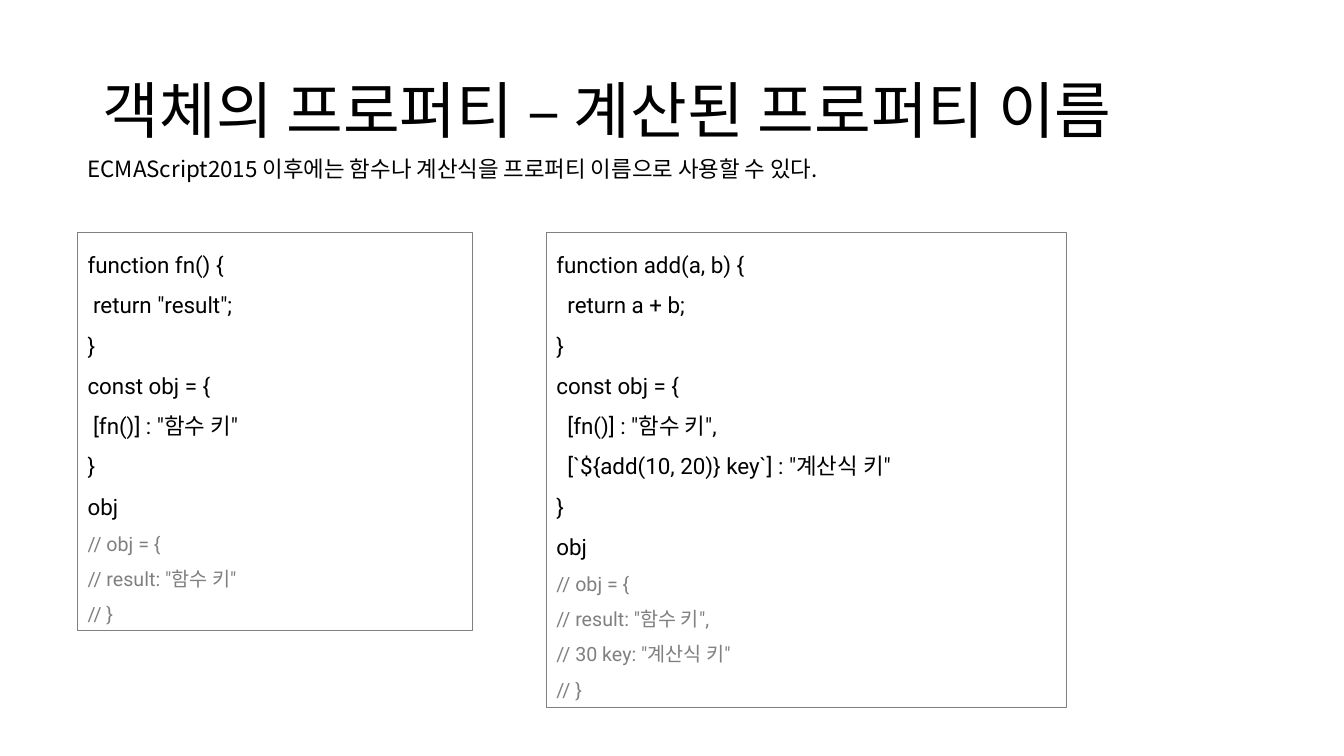
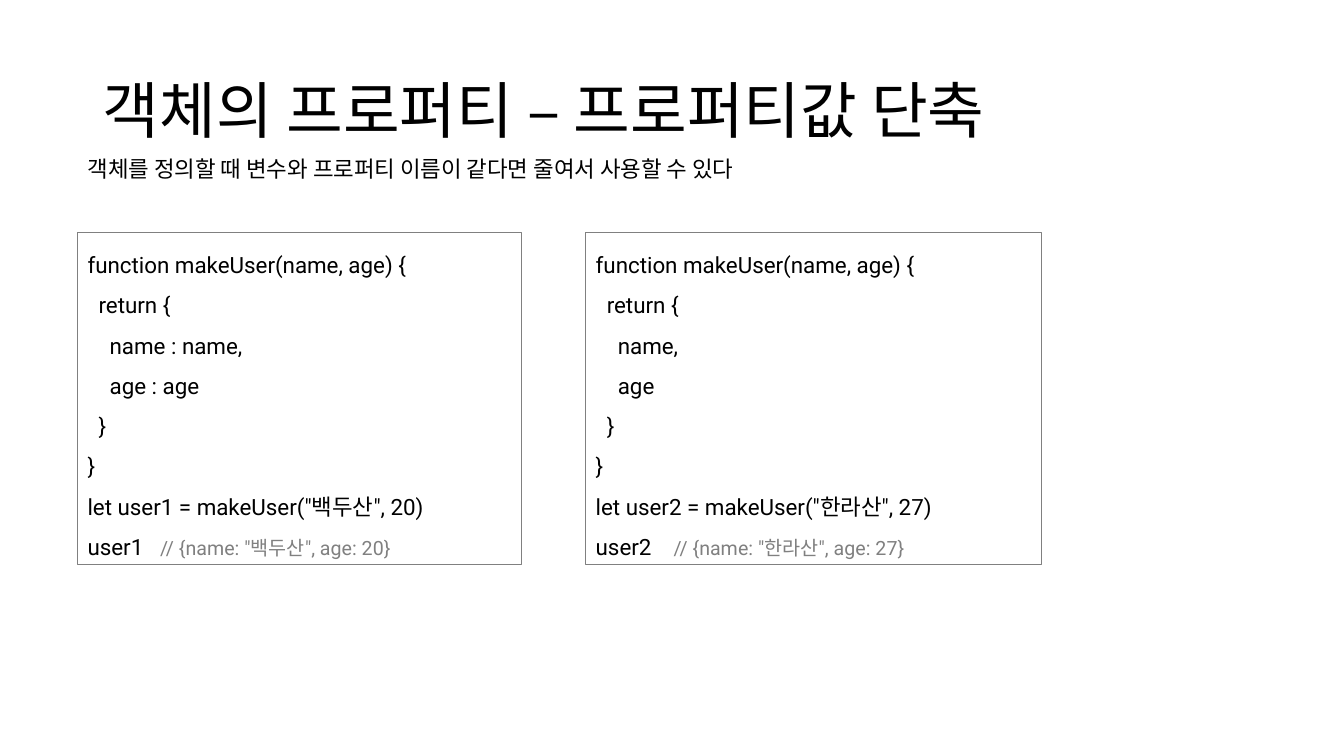
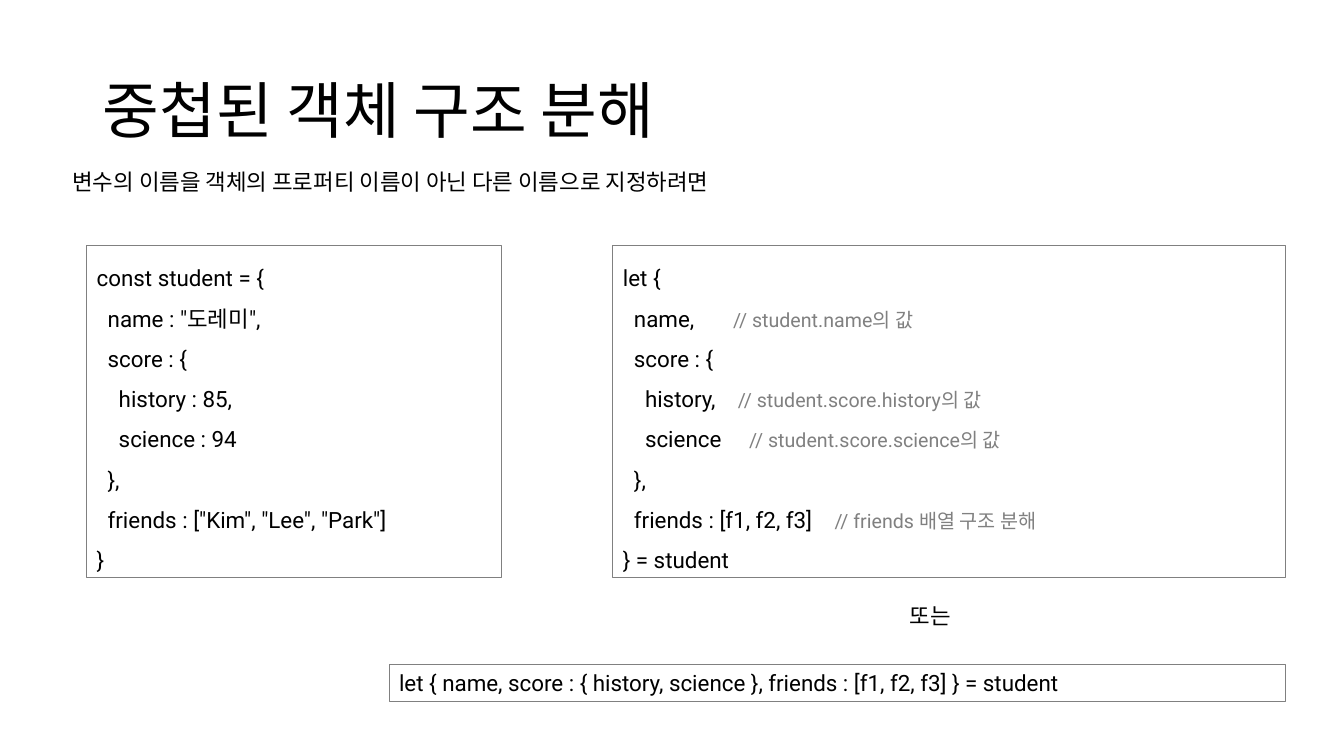
from lxml import etree
from pptx import Presentation
from pptx.dml.color import RGBColor
from pptx.enum.text import MSO_ANCHOR, MSO_AUTO_SIZE, PP_ALIGN
from pptx.oxml.ns import qn
from pptx.util import Pt

PX = 9144
BLANK = 6
TOP, MIDDLE = MSO_ANCHOR.TOP, MSO_ANCHOR.MIDDLE
LEFT, CENTER = PP_ALIGN.LEFT, PP_ALIGN.CENTER
GROW, FIXED = MSO_AUTO_SIZE.SHAPE_TO_FIT_TEXT, MSO_AUTO_SIZE.NONE
SANS, CODE = "Noto Sans CJK KR", "Roboto"
BLACK, GRAY = "000000", "808080"

FN_KEY = """function fn() {
 return "result";
}
const obj = {
 [fn()] : "함수 키"
}
obj
// obj = {
// result: "함수 키"
// }"""

SUM_KEY = """function add(a, b) {
  return a + b;
}
const obj = {
  [fn()] : "함수 키",
  [`${add(10, 20)} key`] : "계산식 키"
}
obj
// obj = {
// result: "함수 키",
// 30 key: "계산식 키"
// }"""

STUDENT = """const student = {
  name : "도레미",
  score : {
    history : 85,
    science : 94
  },
  friends : ["Kim", "Lee", "Park"]
}"""

UNPACK = """let {
  name,       // student.name의 값
  score : {
    history,    // student.score.history의 값
    science     // student.score.science의 값
  },
  friends : [f1, f2, f3]    // friends 배열 구조 분해
} = student"""

SHORT = "let { name, score : { history, science }, friends : [f1, f2, f3] } = student"


def color(code):
    return RGBColor.from_string(code)


def add_run(para, words, size, face, ink):
    run = para.add_run()
    run.text = words
    font = run.font
    font.size = Pt(size)
    font.name = face
    font.color.rgb = color(ink)
    etree.SubElement(run._r.get_or_add_rPr(), qn("a:ea"), typeface=SANS)


def add_text(slide, words, area, size=16, face=SANS, space=1.5, align=LEFT,
             anchor=TOP, fit=GROW, edge=None):
    box = slide.shapes.add_textbox(*(n * PX for n in area))
    frame = box.text_frame
    frame.word_wrap = True
    frame.auto_size = fit
    frame.vertical_anchor = anchor
    if edge:
        box.line.color.rgb = color(edge)
        box.line.width = Pt(0.75)
    for i, row in enumerate(words.split("\n")):
        para = frame.paragraphs[0] if i == 0 else frame.add_paragraph()
        para.line_spacing = space
        para.alignment = align
        main, mark, note = row.partition("//")
        if main:
            add_run(para, main, size, face, BLACK)
        if mark:
            add_run(para, mark + note, size - 2, face, GRAY)


def add_code(slide, words, area, space=1.5):
    add_text(slide, words, area, face=CODE, space=space, edge=GRAY)


def add_page(deck, title, lead, area=(77, 136, 858, 45)):
    slide = deck.slides.add_slide(deck.slide_layouts[BLANK])
    add_text(slide, title, (92, 40, 1150, 145), size=44, space=0.9,
             anchor=MIDDLE, fit=FIXED)
    add_text(slide, lead, area)
    return slide


def user_code(fields, user, name, age, gap):
    body = ",\n".join("    " + field for field in fields)
    return f"""function makeUser(name, age) {{
  return {{
{body}
  }}
}}
let {user} = makeUser("{name}", {age})
{user}{gap}// {{name: "{name}", age: {age}}}"""


def key_page(deck):
    slide = add_page(
        deck, "객체의 프로퍼티 – 계산된 프로퍼티 이름",
        "ECMAScript2015 이후에는 함수나 계산식을 프로퍼티 이름으로 사용할 수 있다.")
    add_code(slide, FN_KEY, (77, 231, 392, 395))
    add_code(slide, SUM_KEY, (542, 231, 516, 471))


def value_page(deck):
    slide = add_page(
        deck, "객체의 프로퍼티 – 프로퍼티값 단축",
        "객체를 정의할 때 변수와 프로퍼티 이름이 같다면 줄여서 사용할 수 있다")
    full = user_code(["name : name", "age : age"], "user1", "백두산", 20, "   ")
    brief = user_code(["name", "age"], "user2", "한라산", 27, "    ")
    add_code(slide, full, (77, 231, 440, 329))
    add_code(slide, brief, (581, 231, 452, 329))


def nested_page(deck):
    slide = add_page(
        deck, "중첩된 객체 구조 분해",
        "변수의 이름을 객체의 프로퍼티 이름이 아닌 다른 이름으로 지정하려면",
        area=(62, 149, 1212, 45))
    add_code(slide, STUDENT, (86, 244, 411, 329))
    add_code(slide, UNPACK, (608, 244, 667, 329))
    add_code(slide, SHORT, (386, 659, 889, 37), space=1.0)
    add_text(slide, "또는", (852, 592, 141, 37), space=1.0, align=CENTER)


def main():
    deck = Presentation()
    deck.slide_width = 1333 * PX
    deck.slide_height = 750 * PX
    key_page(deck)
    value_page(deck)
    nested_page(deck)
    deck.save("out.pptx")


if __name__ == "__main__":
    main()
